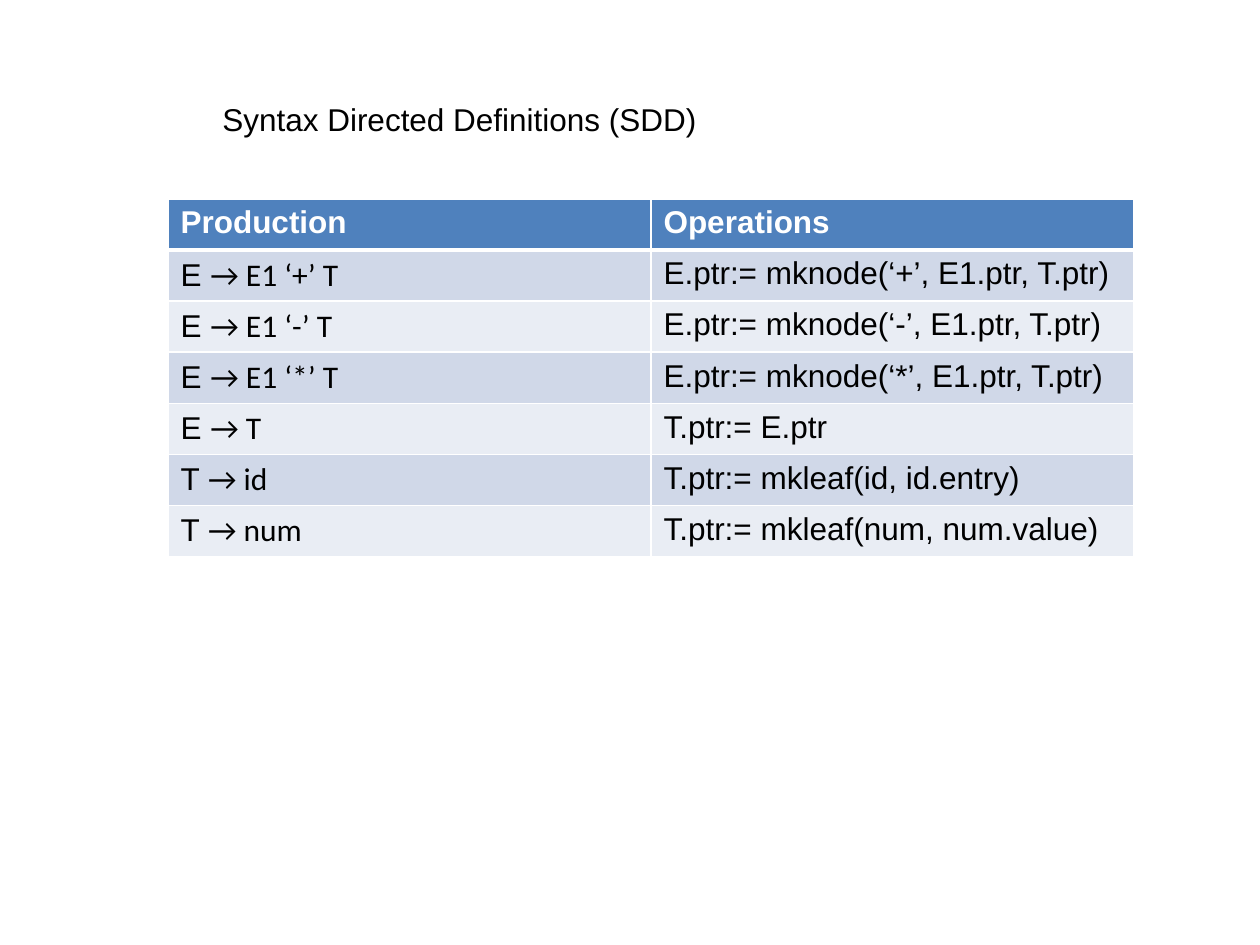
from lxml import etree
from pptx import Presentation
from pptx.dml.color import RGBColor
from pptx.enum.text import MSO_AUTO_SIZE as AutoSize
from pptx.oxml.ns import qn
from pptx.util import Emu, Pt

PX = 914400 // 126
COLORS = {"header": "4F81BD", "dark_band": "D0D8E8", "light_band": "E9EDF4",
          "white": "FFFFFF", "black": "000000"}
ROWS = [
    ("Production", "", "Operations"),
    ("E ", "→ E1 ‘+’ T", "E.ptr:= mknode(‘+’, E1.ptr, T.ptr)"),
    ("E ", "→ E1 ‘-’ T", "E.ptr:= mknode(‘-’, E1.ptr, T.ptr)"),
    ("E ", "→ E1 ‘*’ T", "E.ptr:= mknode(‘*’, E1.ptr, T.ptr)"),
    ("E ", "→ T", "T.ptr:= E.ptr"),
    ("T ", "→ id", "T.ptr:= mkleaf(id, id.entry)"),
    ("T ", "→ num", "T.ptr:= mkleaf(num, num.value)"),
]


def style_span(span, font="Arial", color="black", bold=False):
    span.font.name = font
    span.font.size = Pt(18)
    span.font.bold = bold
    span.font.color.rgb = RGBColor.from_string(COLORS[color])


def add_borders(cell, bottom, top):
    properties = cell._tc.get_or_add_tcPr()
    widths = {"lnL": 1, "lnR": 1, "lnT": top, "lnB": bottom}
    for index, (side, width) in enumerate(widths.items()):
        line = etree.Element(qn("a:" + side), w=str(Pt(width)))
        fill = etree.SubElement(line, qn("a:solidFill"))
        etree.SubElement(fill, qn("a:srgbClr"), val=COLORS["white"])
        properties.insert(index, line)


deck = Presentation()
deck.slide_width, deck.slide_height = Emu(1260 * PX), Emu(945 * PX)
page = deck.slides.add_slide(deck.slide_layouts[6])

# Table of productions and their operations
table = page.shapes.add_table(len(ROWS), 2, 168 * PX, 199 * PX, 966 * PX, 357 * PX).table
for column in table.columns:
    column.width = Emu(483 * PX)
for number, (symbol, rule, operation) in enumerate(ROWS):
    table.rows[number].height = Emu(51 * PX)
    is_header = number == 0
    band = "header" if is_header else "dark_band" if number % 2 else "light_band"
    text_color = "white" if is_header else "black"
    for column, text in enumerate((symbol, operation)):
        cell = table.cell(number, column)
        cell.fill.solid()
        cell.fill.fore_color.rgb = RGBColor.from_string(COLORS[band])
        add_borders(cell, bottom=3 if is_header else 1, top=3 if number == 1 else 1)
        para = cell.text_frame.paragraphs[0]
        para.text = text
        style_span(para.runs[0], color=text_color, bold=is_header)
        if column == 0 and rule:
            span = para.add_run()
            span.text = rule
            style_span(span, font="Calibri")

# Title
box = page.shapes.add_textbox(210 * PX, 94 * PX, 882 * PX, 53 * PX)
box.text_frame.word_wrap = True
box.text_frame.auto_size = AutoSize.SHAPE_TO_FIT_TEXT
box.text_frame.text = "Syntax Directed Definitions (SDD)"
style_span(box.text_frame.paragraphs[0].runs[0])

deck.save("out.pptx")
